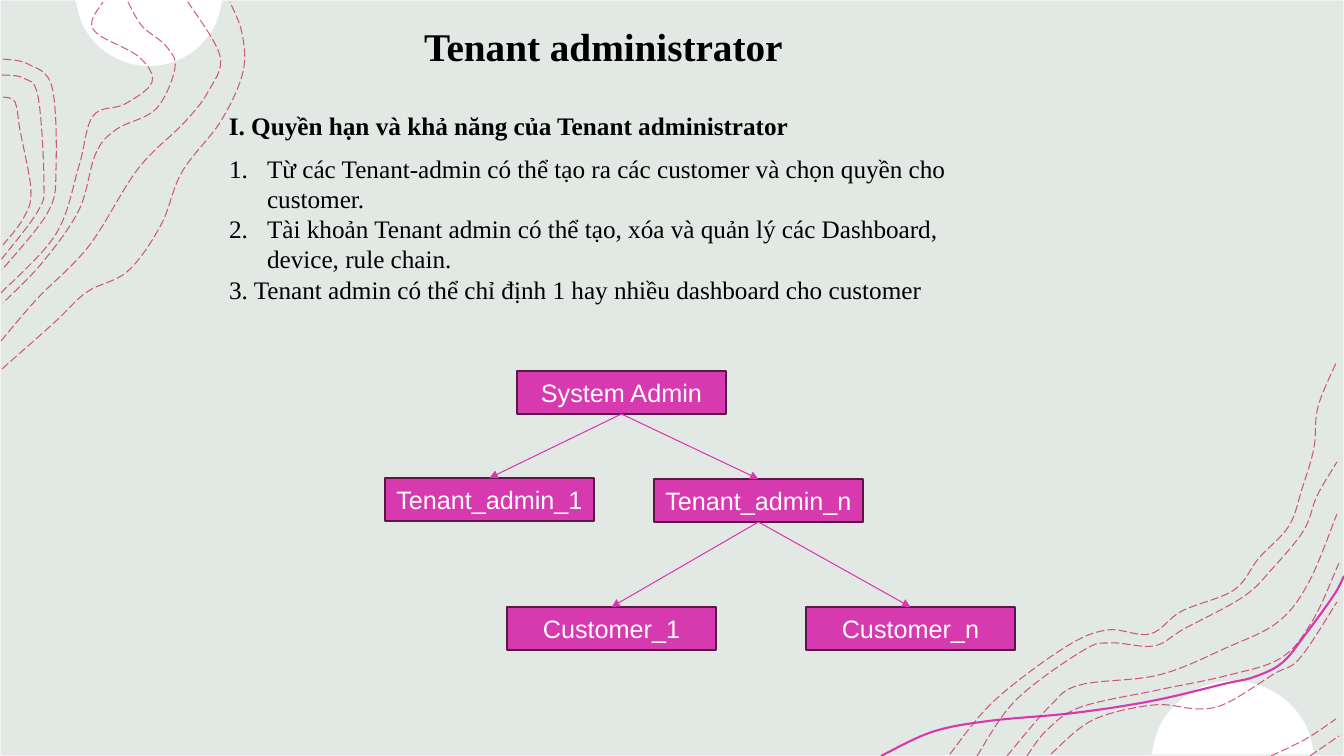
from dataclasses import dataclass
from math import cos, pi, sin

from lxml.etree import SubElement
from pptx import Presentation
from pptx.dml.color import RGBColor
from pptx.enum.dml import MSO_LINE
from pptx.enum.shapes import MSO_CONNECTOR, MSO_SHAPE
from pptx.enum.text import MSO_ANCHOR, MSO_AUTO_SIZE, PP_ALIGN
from pptx.oxml.ns import qn
from pptx.util import Pt

SLIDE_WIDTH, SLIDE_HEIGHT = 1344, 756
EMU_PER_PX = 12192000 / SLIDE_WIDTH


@dataclass(frozen=True)
class Theme:
    """Colours, fonts and type sizes of the slide."""
    background: RGBColor = RGBColor(0xE2, 0xE8, 0xE4)
    frame: RGBColor = RGBColor(0xF2, 0xF2, 0xF2)
    white: RGBColor = RGBColor(0xFF, 0xFF, 0xFF)
    black: RGBColor = RGBColor(0, 0, 0)
    accent: RGBColor = RGBColor(0xD7, 0x39, 0xAE)
    accent_dark: RGBColor = RGBColor(0x5A, 0x18, 0x49)
    contour: RGBColor = RGBColor(0xC5, 0x27, 0x5A)
    text_font: str = "Times New Roman"
    box_font: str = "Arial"
    title_size: int = 28
    text_size: int = 18


THEME = Theme()

LEFT_CONTOURS = [
    [(2, 369), (55, 322), (87, 292), (128, 271), (161, 225), (182, 172), (221, 121), (243, 72),
     (242, 33), (230, 2)],
    [(1, 341), (38, 298), (89, 246), (138, 169), (184, 123), (208, 92), (220, 56), (188, 2)],
    [(128, 2), (142, 26), (166, 46), (175, 68), (156, 109), (117, 129), (96, 153), (79, 210),
     (42, 263), (3, 303)],
    [(1, 293), (56, 234), (79, 166), (93, 116), (125, 104), (152, 82), (139, 57), (99, 35),
     (92, 21), (103, 2)],
    [(3, 59), (28, 64), (52, 87), (56, 169), (48, 212), (2, 270)],
    [(2, 75), (23, 78), (38, 96), (44, 182), (38, 211), (1, 260)],
    [(3, 97), (15, 102), (20, 130), (31, 191), (23, 219), (3, 245)],
]
RIGHT_CONTOURS = [
    [(950, 754), (994, 701), (1064, 648), (1107, 630), (1150, 634), (1182, 611), (1234, 590),
     (1259, 558), (1289, 526), (1302, 489), (1314, 448), (1318, 407), (1337, 361)],
    [(977, 756), (1016, 700), (1084, 650), (1112, 643), (1154, 646), (1184, 629), (1243, 597),
     (1273, 568), (1304, 530), (1317, 496), (1337, 462)],
    [(1310, 756), (1339, 736)],
    [(1271, 756), (1306, 739), (1336, 719)],
    [(1051, 754), (1093, 720), (1154, 705), (1198, 709), (1227, 703), (1274, 674), (1300, 658),
     (1337, 602)],
    [(1027, 756), (1047, 730), (1081, 707), (1158, 690), (1225, 676), (1281, 658), (1313, 620),
     (1339, 563)],
    [(1007, 756), (1050, 706), (1080, 685), (1159, 675), (1226, 648), (1278, 622), (1309, 582),
     (1337, 514)],
]
RIBBON = [(881, 756), (932, 732), (989, 721), (1074, 713), (1152, 701), (1224, 684), (1254, 677),
          (1282, 663), (1305, 635), (1334, 595), (1344, 576)]


def px(length):
    """Turn a length in px into EMU."""
    return round(length * EMU_PER_PX)


def bend_segments(shape):
    """Turn the straight segments of a freeform into a smooth curve through its corners."""
    corners = [(int(corner.get("x")), int(corner.get("y")))
               for corner in shape.element.iter(qn("a:pt"))]
    padded = [corners[0], *corners, corners[-1]]
    segments = list(shape.element.iter(qn("a:lnTo")))
    for segment, a, b, c, d in zip(segments, padded, padded[1:], padded[2:], padded[3:]):
        first = [q + (r - p) / 6 for p, q, r in zip(a, b, c)]
        second = [r - (s - q) / 6 for q, r, s in zip(b, c, d)]
        segment.tag = qn("a:cubicBezTo")
        segment.remove(segment[0])
        for x, y in (first, second, c):
            SubElement(segment, qn("a:pt"), x=str(round(x)), y=str(round(y)))


def add_curve(shapes, anchors, close=False):
    """Draw an unfilled smooth curve through the anchors."""
    corners = [(px(x), px(y)) for x, y in anchors]
    builder = shapes.build_freeform(*corners[0], scale=1.0)
    builder.add_line_segments(corners[1:], close=close)
    shape = builder.convert_to_shape()
    bend_segments(shape)
    shape.shadow.inherit = False
    shape.fill.background()
    return shape


def add_contour(shapes, anchors):
    """Draw a thin dashed contour."""
    shape = add_curve(shapes, anchors)
    shape.line.color.rgb = THEME.contour
    shape.line.width = Pt(0.75)
    shape.line.dash_style = MSO_LINE.LONG_DASH
    color = shape.element.spPr.find(qn("a:ln")).find(".//" + qn("a:srgbClr"))
    SubElement(color, qn("a:alpha"), val="75000")


def add_dome(shapes, center_x, center_y, radius, start, end):
    """Draw the white segment of a disc between two angles in degrees."""
    angles = [(start + (end - start) * i / 8) * pi / 180 for i in range(9)]
    arc = [(center_x + radius * cos(angle), center_y + radius * sin(angle)) for angle in angles]
    shape = add_curve(shapes, arc, close=True)
    shape.fill.solid()
    shape.fill.fore_color.rgb = THEME.white
    shape.line.fill.background()


def add_rectangle(shapes, box, fill, line):
    """Draw a rectangle with a one-point border."""
    shape = shapes.add_shape(MSO_SHAPE.RECTANGLE, *map(px, box))
    shape.shadow.inherit = False
    shape.fill.solid()
    shape.fill.fore_color.rgb = fill
    shape.line.color.rgb = line
    shape.line.width = Pt(1)
    return shape


def add_backdrop(slide, box):
    """Draw the background, domes, ribbon and contours."""
    left, top = box[:2]
    add_rectangle(slide.shapes, box, THEME.background, THEME.frame)
    add_dome(slide.shapes, left + 149, top - 8, 74, 6, 174)
    add_dome(slide.shapes, left + 1233, top + 763, 82, 186, 354)
    ribbon = add_curve(slide.shapes, RIBBON)
    ribbon.line.color.rgb = THEME.accent
    ribbon.line.width = Pt(1.5)
    for contours in (LEFT_CONTOURS, RIGHT_CONTOURS):
        group = slide.shapes.add_group_shape()
        for anchors in contours:
            add_contour(group.shapes, anchors)


def add_text(paragraph, text, color, font, size=THEME.text_size, bold=False):
    """Add one formatted run to a paragraph."""
    run = paragraph.add_run()
    run.text = text
    run.font.name, run.font.size, run.font.bold = font, Pt(size), bold
    run.font.color.rgb = color


def place_text(shape, box):
    """Place a text shape on its box, in front, and return its text frame."""
    shape.left, shape.top, shape.width, shape.height = map(px, box)
    shape.element.getparent().append(shape.element)
    frame = shape.text_frame
    frame.word_wrap = True
    frame.auto_size = MSO_AUTO_SIZE.NONE
    frame.vertical_anchor = MSO_ANCHOR.TOP
    return frame


def add_heading(shape, box, text, size):
    """Write a bold heading into a text shape."""
    paragraph = place_text(shape, box).paragraphs[0]
    paragraph.alignment = PP_ALIGN.LEFT
    add_text(paragraph, text, THEME.black, THEME.text_font, size, True)


def add_list(shape, box, items):
    """Write the list, numbering the items flagged for it."""
    frame = place_text(shape, box)
    for index, (text, numbered) in enumerate(items):
        paragraph = frame.add_paragraph() if index else frame.paragraphs[0]
        paragraph.space_before = Pt(0)
        properties = paragraph._p.get_or_add_pPr()
        indent = px(38) if numbered else 0
        properties.set("marL", str(indent))
        properties.set("indent", str(-indent))
        if numbered:
            SubElement(properties, qn("a:buFont"), typeface="+mj-lt")
            SubElement(properties, qn("a:buAutoNum"), type="arabicPeriod")
        else:
            SubElement(properties, qn("a:buNone"))
        add_text(paragraph, text, THEME.black, THEME.text_font)


def add_arrow(slide, parent, child):
    """Join the bottom of one box to the top of another with an arrow."""
    connector = slide.shapes.add_connector(MSO_CONNECTOR.STRAIGHT, 0, 0, 0, 0)
    connector.begin_connect(parent, 2)
    connector.end_connect(child, 0)
    connector.line.color.rgb = THEME.accent
    connector.line.width = Pt(0.75)
    properties = connector.element.spPr
    SubElement(properties.find(qn("a:ln")), qn("a:tailEnd"), type="triangle")
    SubElement(properties, qn("a:effectLst"))


def add_hierarchy(slide, box):
    """Draw the account tree inside its box."""
    left, top = box[:2]
    places = {"System Admin": (132, 0), "Tenant_admin_1": (0, 107), "Tenant_admin_n": (269, 108),
              "Customer_1": (122, 236), "Customer_n": (421, 236)}
    links = [("System Admin", "Tenant_admin_1"), ("System Admin", "Tenant_admin_n"),
             ("Tenant_admin_n", "Customer_1"), ("Tenant_admin_n", "Customer_n")]
    accounts = {}
    for name, (x, y) in places.items():
        shape = add_rectangle(slide.shapes, (left + x, top + y, 209, 43),
                              THEME.accent, THEME.accent_dark)
        shape.text_frame.vertical_anchor = MSO_ANCHOR.MIDDLE
        paragraph = shape.text_frame.paragraphs[0]
        paragraph.alignment = PP_ALIGN.CENTER
        add_text(paragraph, name, THEME.white, THEME.box_font)
        accounts[name] = shape
    for parent, child in links:
        add_arrow(slide, accounts[parent], accounts[child])


def main():
    """Build the slide and save it."""
    presentation = Presentation()
    presentation.slide_width, presentation.slide_height = px(SLIDE_WIDTH), px(SLIDE_HEIGHT)
    slide = presentation.slides.add_slide(presentation.slide_layouts[1])
    add_backdrop(slide, (0, 0, SLIDE_WIDTH, SLIDE_HEIGHT))
    add_heading(slide.shapes.title, (414, 17, 449, 57), "Tenant administrator", THEME.title_size)
    add_heading(slide.shapes.add_textbox(0, 0, 0, 0), (219, 105, 801, 40),
                "I. Quyền hạn và khả năng của Tenant administrator", THEME.text_size)
    add_list(slide.placeholders[1], (219, 148, 795, 163), [
        ("Từ các Tenant-admin có thể tạo ra các customer và chọn quyền cho customer.", True),
        ("Tài khoản Tenant admin có thể tạo, xóa và quản lý các Dashboard, device, rule chain.",
         True),
        ("3. Tenant admin có thể chỉ định 1 hay nhiều dashboard cho customer", False)])
    add_hierarchy(slide, (385, 371, 630, 279))
    presentation.save("out.pptx")


if __name__ == "__main__":
    main()
